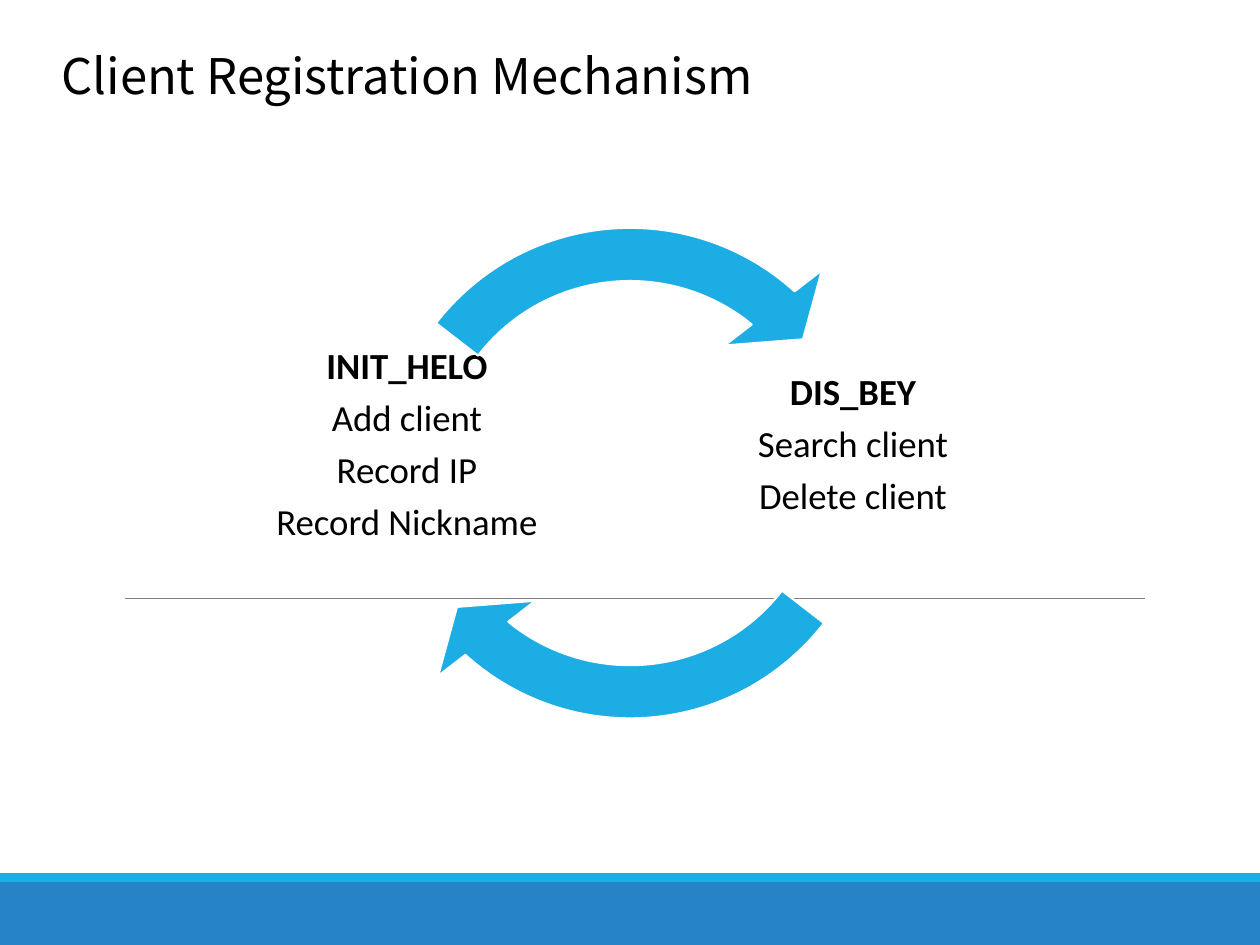
from lxml.etree import SubElement
from pptx import Presentation
from pptx.dml.color import RGBColor
from pptx.enum.shapes import MSO_CONNECTOR, MSO_SHAPE
from pptx.enum.text import MSO_ANCHOR, MSO_AUTO_SIZE, PP_ALIGN
from pptx.oxml.ns import qn
from pptx.util import Inches, Pt

WIDTH, HEIGHT = 10, 7.5
TITLE = "Client Registration Mechanism"
BANDS = [(7, 0.5, "2683C6"), (6.93, 0.07, "1CADE4")]
RULE = (0.99, 9.09, 4.75)
STEPS = [
    (5.69, 78.54, ["DIS_BEY", "Search client", "Delete client"]),
    (2.15, 186.54, ["INIT_HELO", "Add client", "Record IP", "Record Nickname"]),
]
STEP_TOP, STEP_SIZE = 2.67, 2.16
CYCLE_SIZE, CYCLE_TOP = 4.45, 1.53
ARROW_SWEEP = 55.92
INSET, LOWER_INSET = 0.03, 0.45

deck = Presentation()
deck.slide_width, deck.slide_height = Inches(WIDTH), Inches(HEIGHT)
slide = deck.slides.add_slide(deck.slide_layouts[6])


def color(code):
    return RGBColor.from_string(code)


def add_filled(preset, left, top, width, height, fill):
    part = slide.shapes.add_shape(
        preset, Inches(left), Inches(top), Inches(width), Inches(height))
    part.shadow.inherit = False
    part.fill.solid()
    part.fill.fore_color.rgb = color(fill)
    part.line.fill.background()
    return part


def add_run(paragraph, words, face, size, bold=False):
    run = paragraph.add_run()
    run.text = words
    run.font.name, run.font.size, run.font.bold = face, Pt(size), bold
    run.font.color.rgb = color("000000")
    return run


def add_step(left, lines):
    frame = slide.shapes.add_textbox(
        Inches(left), Inches(STEP_TOP), Inches(STEP_SIZE), Inches(STEP_SIZE)).text_frame
    frame.word_wrap = True
    frame.vertical_anchor = MSO_ANCHOR.MIDDLE
    frame.margin_left = frame.margin_right = frame.margin_top = Inches(INSET)
    frame.margin_bottom = Inches(LOWER_INSET)
    for row, words in enumerate(lines):
        paragraph = frame.add_paragraph() if row else frame.paragraphs[0]
        paragraph.alignment = PP_ALIGN.CENTER
        paragraph.line_spacing = 0.9
        paragraph.space_after = Pt(7)
        add_run(paragraph, words, "Calibri", 21, bold=row == 0)


def add_cycle_arrow(end):
    arrow = add_filled(MSO_SHAPE.CIRCULAR_ARROW, (WIDTH - CYCLE_SIZE) / 2, CYCLE_TOP,
                       CYCLE_SIZE, CYCLE_SIZE, "1CADE4")
    arrow.line.color.rgb = color("FFFFFF")
    arrow.line.width = Pt(1.25)
    for index, value in enumerate([0.095, 6.84, end, end - ARROW_SWEEP, 0.11]):
        arrow.adjustments[index] = value


for top, height, fill in BANDS:
    add_filled(MSO_SHAPE.RECTANGLE, 0, top, WIDTH, height, fill)

start, finish, level = map(Inches, RULE)
rule = slide.shapes.add_connector(MSO_CONNECTOR.STRAIGHT, start, level, finish, level)
rule.line.color.rgb = color("808080")
rule.line.width = Pt(0.5)
SubElement(rule.element.spPr, qn("a:effectLst"))

heading = slide.shapes.add_textbox(
    Inches(0.39), Inches(0.31), Inches(5.94), Inches(0.57)).text_frame
heading.word_wrap = False
heading.auto_size = MSO_AUTO_SIZE.SHAPE_TO_FIT_TEXT
title_run = add_run(heading.paragraphs[0], TITLE, "Noto Sans CJK SC", 28)
SubElement(title_run.font._element, qn("a:ea")).set("typeface", "Noto Sans CJK SC")

for left, arrow_end, lines in STEPS:
    add_step(left, lines)
    add_cycle_arrow(arrow_end)

deck.save("out.pptx")
